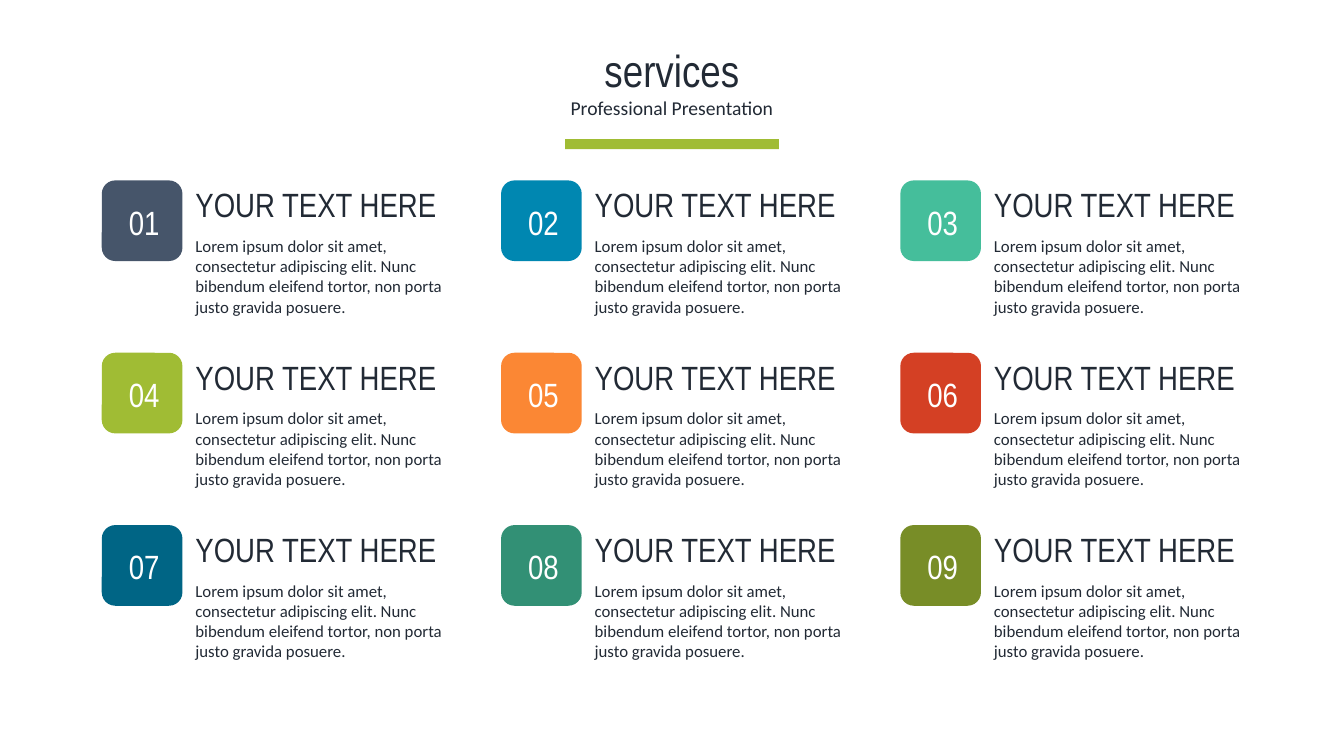
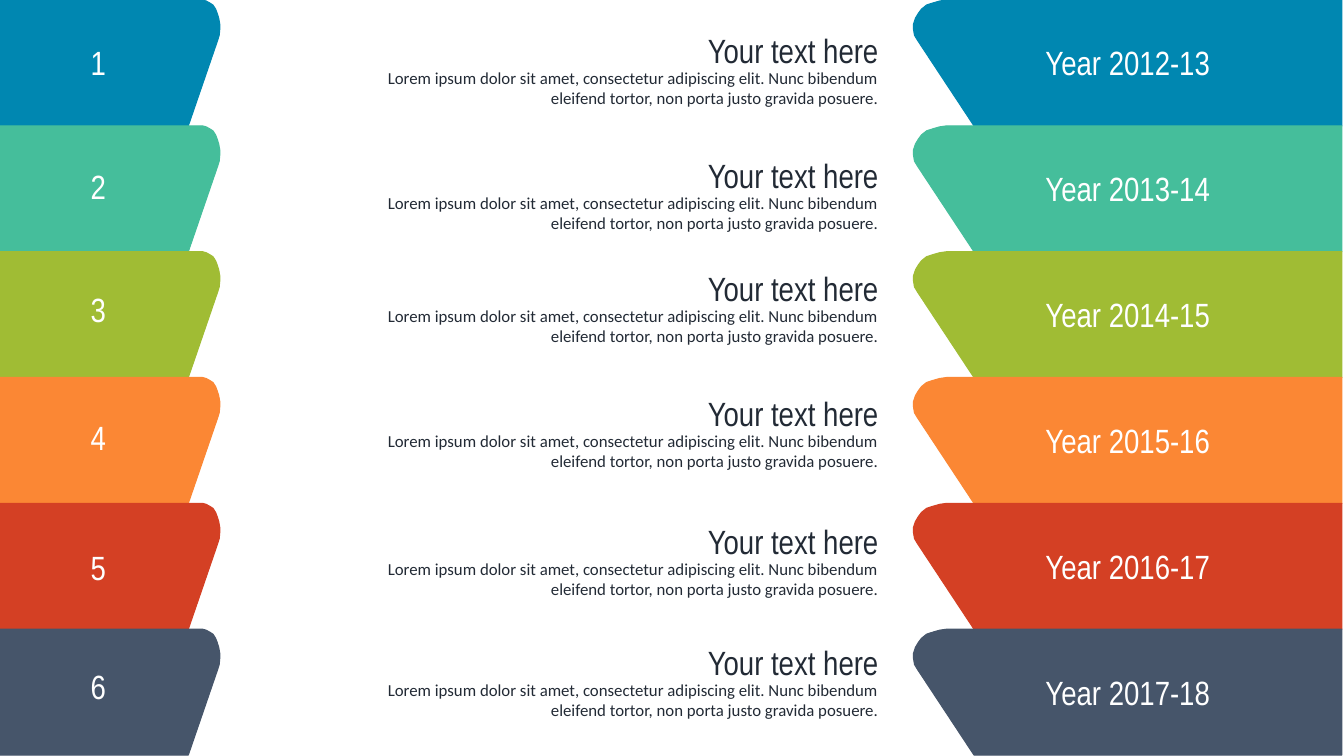
"""Build a services grid and a six-band timeline."""
from pptx import Presentation
from pptx.dml.color import RGBColor
from pptx.enum.shapes import MSO_SHAPE
from pptx.enum.text import MSO_AUTO_SIZE, PP_ALIGN
from pptx.util import Inches, Pt

LEFT, CENTER, RIGHT = PP_ALIGN.LEFT, PP_ALIGN.CENTER, PP_ALIGN.RIGHT
FIT_SHAPE = MSO_AUTO_SIZE.SHAPE_TO_FIT_TEXT
RECTANGLE, ROUNDED = MSO_SHAPE.RECTANGLE, MSO_SHAPE.ROUNDED_RECTANGLE

INK = RGBColor(0x22, 0x2A, 0x35)
WHITE = RGBColor(0xFF, 0xFF, 0xFF)
SLATE = RGBColor(0x46, 0x55, 0x6A)
BLUE = RGBColor(0x00, 0x87, 0xB1)
MINT = RGBColor(0x45, 0xBE, 0x9B)
LIME = RGBColor(0xA0, 0xBC, 0x34)
ORANGE = RGBColor(0xFB, 0x87, 0x34)
RED = RGBColor(0xD4, 0x40, 0x24)
NAVY = RGBColor(0x00, 0x65, 0x85)
GREEN = RGBColor(0x32, 0x90, 0x75)
OLIVE = RGBColor(0x78, 0x8D, 0x27)

HEADING_FONT, BODY_FONT = "Arial Narrow", "Calibri"
LOREM = ("Lorem ipsum dolor sit amet, consectetur adipiscing elit. "
         "Nunc bibendum eleifend tortor, non porta justo gravida posuere.")

SLIDE_W, SLIDE_H = 13.33, 7.5
GRID_LEFT, GRID_TOP = 1.01, 1.78
COLUMN_PITCH, ROW_PITCH, COLUMNS = 3.96, 1.71, 3
BADGE_SIZE = 0.8
BADGE_COLORS = (SLATE, BLUE, MINT, LIME, ORANGE, RED, NAVY, GREEN, OLIVE)

BAND_COLORS = (BLUE, MINT, LIME, ORANGE, RED, SLATE)
BAND_H = 7.49 / len(BAND_COLORS)
BAND_RIGHT = 13.31
LEFT_TIP, RIGHT_TIP = 2.18, 9.06
LEFT_DEPTH, RIGHT_DEPTH = -0.52, 1
TIP_CURVE = ((0.6, 1.25), (0.04, 0.4), (0.01, 0.35), (0, 0.29), (0, 0.24),
             (0.02, 0.18), (0.05, 0.13), (0.08, 0.09), (0.13, 0.05),
             (0.19, 0.03), (0.26, 0.01), (0.33, 0))
NUMBER_TOPS = (0.37, 1.6, 2.82, 4.09, 5.38, 6.56)
HEADING_TOPS = (0.25, 1.49, 2.61, 3.85, 5.12, 6.32)
FIRST_YEAR = 2012


def add_text(slide, text, left, top, width, height, size=24,
             font=HEADING_FONT, color=INK, align=LEFT):
    """Add a wrapped one-run text box."""
    box = slide.shapes.add_textbox(*map(Inches, (left, top, width, height)))
    frame = box.text_frame
    frame.word_wrap = True
    frame.auto_size = FIT_SHAPE
    paragraph = frame.paragraphs[0]
    paragraph.alignment = align
    run = paragraph.add_run()
    run.text = text
    run.font.name = font
    run.font.size = Pt(size)
    run.font.color.rgb = color


def add_body(slide, left, top, width, height, align=LEFT):
    """Add the small descriptive text."""
    add_text(slide, LOREM, left, top, width, height, 12, BODY_FONT, align=align)


def add_label(slide, text, left, top, width):
    """Add a white centred label."""
    add_text(slide, text, left, top, width, 0.5, color=WHITE, align=CENTER)


def paint(shape, color):
    """Give a shape a flat fill without shadow."""
    shape.shadow.inherit = False
    shape.fill.solid()
    shape.fill.fore_color.rgb = color


def add_block(slide, preset, color, left, top, width, height):
    """Add a preset shape with no outline."""
    block = slide.shapes.add_shape(
        preset, *map(Inches, (left, top, width, height)))
    paint(block, color)
    block.line.fill.background()


def add_title(slide, title, subtitle):
    """Add the centred title, subtitle and accent bar."""
    add_text(slide, title, 0, 0.37, SLIDE_W, 0.64, 32, align=CENTER)
    add_text(slide, subtitle, 0.68, 0.9, SLIDE_W - 2 * 0.68, 0.34, 14,
             BODY_FONT, align=CENTER)
    bar_width = 2.12
    add_block(slide, RECTANGLE, LIME, (SLIDE_W - bar_width) / 2, 1.38,
              bar_width, 0.1)


def add_service(slide, index, color):
    """Add a numbered badge with its heading and text in the grid."""
    row, column = divmod(index, COLUMNS)
    left = GRID_LEFT + column * COLUMN_PITCH
    top = GRID_TOP + row * ROW_PITCH
    add_block(slide, ROUNDED, color, left, top + 0.01, BADGE_SIZE, BADGE_SIZE)
    add_label(slide, f"{index + 1:02}", left + 0.1, top + 0.17, 0.64)
    add_text(slide, "YOUR TEXT HERE", left + 0.83, top, 2.9, 0.5)
    add_body(slide, left + 0.83, top + 0.51, 2.9, 0.91)


def add_band(slide, color, top, edge, tip, depth):
    """Add a band from a slide edge to a rounded, slanted tip."""
    curve = [(tip + inset * depth, top + drop * BAND_H / 1.25)
             for inset, drop in TIP_CURVE]
    corners = [(edge, top), (edge, top + BAND_H)]
    points = [(Inches(x), Inches(y)) for x, y in corners + curve]
    builder = slide.shapes.build_freeform(*points[0])
    builder.add_line_segments(points[1:], close=True)
    band = builder.convert_to_shape()
    paint(band, color)
    band.line.color.rgb = color
    band.line.width = Pt(0)


def add_year(slide, index, color):
    """Add one timeline row: number band, text and year band."""
    top = index * BAND_H
    add_band(slide, color, top, BAND_RIGHT, RIGHT_TIP, RIGHT_DEPTH)
    add_band(slide, color, top, 0, LEFT_TIP, LEFT_DEPTH)
    year = FIRST_YEAR + index
    add_label(slide, f"Year {year}-{(year + 1) % 100}", 9.82, top + 0.37, 2.73)
    add_label(slide, str(index + 1), 0.37, NUMBER_TOPS[index], 1.21)
    heading_top = HEADING_TOPS[index]
    add_text(slide, "Your text here", 3.43, heading_top, 5.38, 0.5, align=RIGHT)
    add_body(slide, 3.43, heading_top + 0.37, 5.38, 0.5, RIGHT)


def main():
    """Build and save both slides."""
    deck = Presentation()
    deck.slide_width, deck.slide_height = Inches(SLIDE_W), Inches(SLIDE_H)
    blank = deck.slide_layouts[6]

    services = deck.slides.add_slide(blank)
    add_title(services, "services", "Professional Presentation")
    for index, color in enumerate(BADGE_COLORS):
        add_service(services, index, color)

    timeline = deck.slides.add_slide(blank)
    for index, color in enumerate(BAND_COLORS):
        add_year(timeline, index, color)

    deck.save("out.pptx")


if __name__ == "__main__":
    main()
